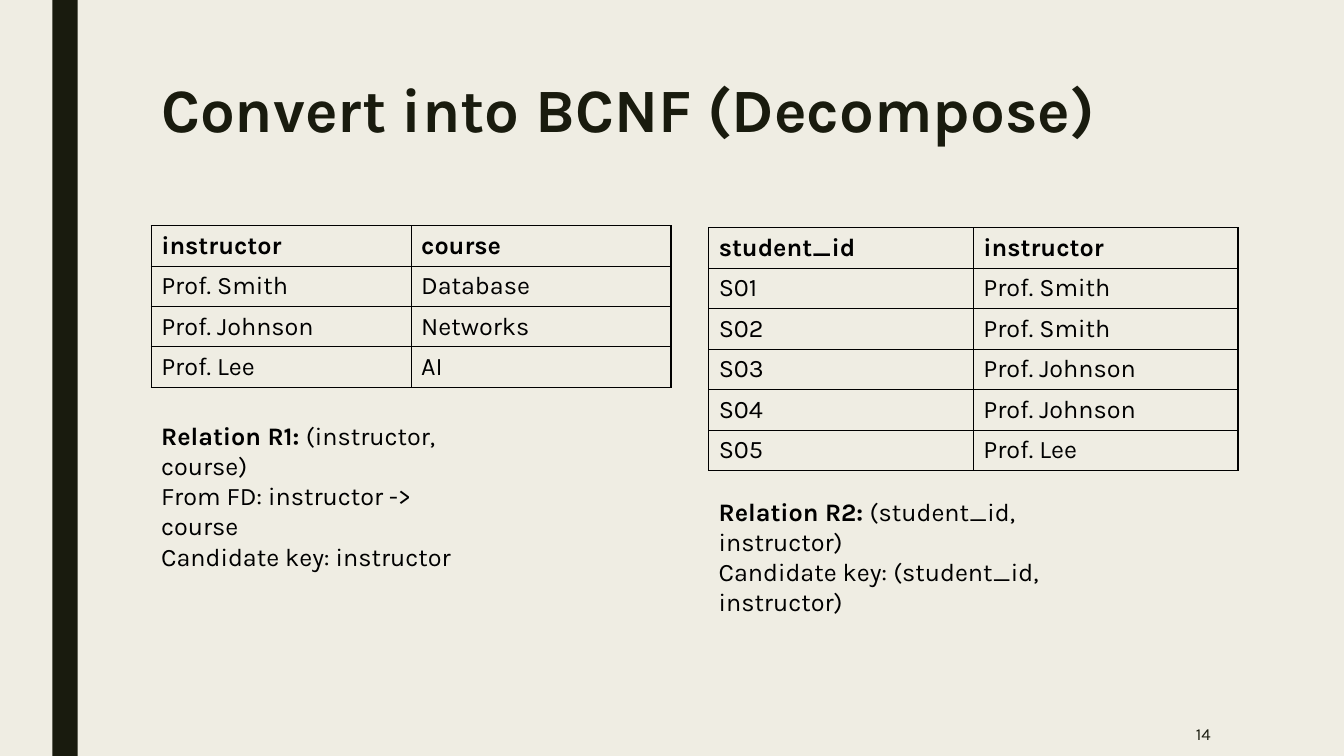
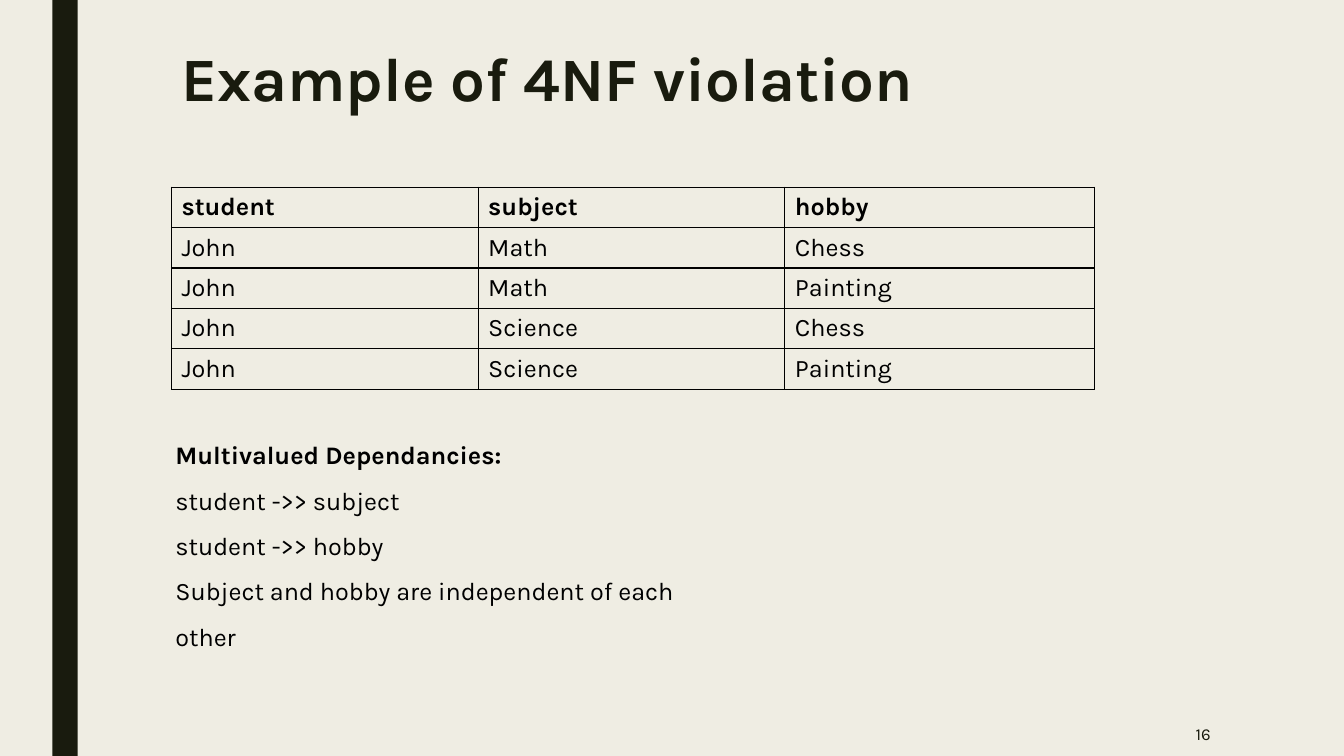
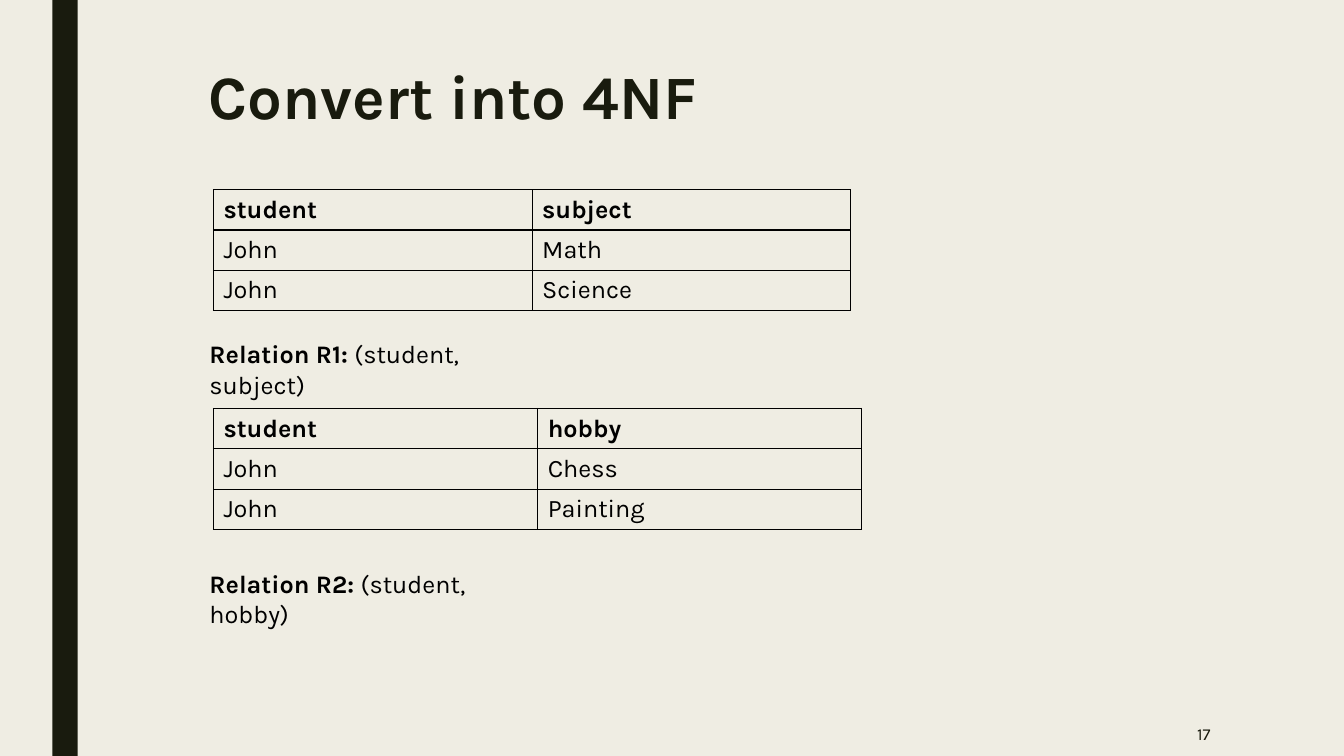
from pptx import Presentation
from pptx.dml.color import RGBColor
from pptx.enum.shapes import MSO_SHAPE as Shape
from pptx.enum.text import MSO_ANCHOR as Anchor, MSO_AUTO_SIZE as AutoSize, PP_ALIGN as Align
from pptx.oxml import parse_xml
from pptx.oxml.ns import nsdecls
from pptx.util import Cm, Pt

CREAM = RGBColor(0xEF, 0xED, 0xE3)
OLIVE = RGBColor(0x19, 0x1B, 0x0E)
BLACK = RGBColor(0, 0, 0)

TITLE = {"size": Pt(44), "bold": True}
BODY = {"size": Pt(18), "bold": False}
STRONG = {"size": Pt(18), "bold": True}
NUMBER = {"size": Pt(12), "bold": False}

BORDER = (
    '<a:{side} {ns} w="12700"><a:solidFill><a:srgbClr val="{color}"/></a:solidFill>'
    '<a:prstDash val="solid"/></a:{side}>'
)


class NormalFormDeck:
    font_name = "Karla"

    def __init__(self):
        self.deck = Presentation()
        self.deck.slide_width, self.deck.slide_height = Cm(33.87), Cm(19.05)
        fill = self.deck.slide_master.background.fill
        fill.solid()
        fill.fore_color.rgb = CREAM
        self.page = None

    def add_page(self, title, left, top, number):
        self.page = self.deck.slides.add_slide(self.deck.slide_layouts[6])
        self.add_band()
        para = self.add_box(left, top, 26.67, 4.11).paragraphs[0]
        para.line_spacing = 0.89
        self.add_text(para, title, TITLE, OLIVE)
        frame = self.add_box(26.31, 17.93, 4.45, 1.12)
        frame.vertical_anchor = Anchor.MIDDLE
        para = frame.paragraphs[0]
        para.alignment = Align.RIGHT
        self.add_text(para, str(number), NUMBER, OLIVE)

    def add_band(self):
        band = self.page.shapes.add_shape(
            Shape.RECTANGLE, Cm(1.32), 0, Cm(0.64), self.deck.slide_height
        )
        band.shadow.inherit = False
        band.fill.solid()
        band.fill.fore_color.rgb = OLIVE
        band.line.fill.background()

    def add_box(self, left, top, width, height):
        box = self.page.shapes.add_textbox(Cm(left), Cm(top), Cm(width), Cm(height))
        box.text_frame.word_wrap = True
        return box.text_frame

    def add_text(self, para, text, style, color=BLACK):
        for index, line in enumerate(text.split("\n")):
            if index:
                para.add_line_break()
            if line:
                span = para.add_run()
                span.text = line
                span.font.name = self.font_name
                span.font.color.rgb = color
                for name, value in style.items():
                    setattr(span.font, name, value)

    def add_note(self, left, top, width, height, lead, *texts, spacing=None):
        frame = self.add_box(left, top, width, height)
        frame.auto_size = AutoSize.SHAPE_TO_FIT_TEXT
        for index, text in enumerate(texts):
            para = frame.add_paragraph() if index else frame.paragraphs[0]
            para.line_spacing = spacing
            if not index:
                self.add_text(para, lead, STRONG)
            self.add_text(para, text, BODY)

    def add_grid(self, left, top, widths, row_height, rows):
        table = self.page.shapes.add_table(
            len(rows), len(widths), Cm(left), Cm(top),
            Cm(sum(widths)), Cm(row_height * len(rows)),
        ).table
        table.first_row = table.horz_banding = False
        for column, width in zip(table.columns, widths):
            column.width = Cm(width)
        for row_index, values in enumerate(rows):
            table.rows[row_index].height = Cm(row_height)
            for column_index, value in enumerate(values):
                cell = table.cell(row_index, column_index)
                cell.vertical_anchor = Anchor.MIDDLE
                style = BODY if row_index else STRONG
                self.add_text(cell.text_frame.paragraphs[0], value, style)
                self.outline(cell)
                cell.fill.background()

    def outline(self, cell):
        properties = cell._tc.get_or_add_tcPr()
        for side in ("lnL", "lnR", "lnT", "lnB"):
            border = BORDER.format(side=side, ns=nsdecls("a"), color=BLACK)
            properties.append(parse_xml(border))


def main():
    show = NormalFormDeck()

    show.add_page("Convert into BCNF (Decompose)", 3.81, 1.9, 14)
    show.add_grid(3.81, 5.69, [6.55] * 2, 1, [
        ("instructor", "course"),
        ("Prof. Smith", "Database"),
        ("Prof. Johnson", "Networks"),
        ("Prof. Lee", "AI"),
    ])
    show.add_note(
        3.81, 10.46, 8.71, 2.57, "Relation R1: ",
        "(instructor, course)\nFrom FD: instructor -> course\nCandidate key: instructor",
    )
    show.add_grid(17.86, 5.74, [6.67] * 2, 1.02, [
        ("student_id", "instructor"),
        ("S01", "Prof. Smith"),
        ("S02", "Prof. Smith"),
        ("S03", "Prof. Johnson"),
        ("S04", "Prof. Johnson"),
        ("S05", "Prof. Lee"),
    ])
    show.add_note(
        17.86, 12.37, 10.54, 1.8, "Relation R2: ",
        "(student_id, instructor)\nCandidate key: (student_id, instructor)",
    )

    show.add_page("Example of 4NF violation", 4.32, 1.12, 16)
    show.add_grid(4.32, 4.72, [7.73, 7.73, 7.8], 1, [
        ("student", "subject", "hobby"),
        ("John", "Math", "Chess"),
        ("John", "Math", "Painting"),
        ("John", "Science", "Chess"),
        ("John", "Science", "Painting"),
    ])
    show.add_note(
        4.17, 10.57, 13.49, 4.75, "Multivalued Dependancies:\n",
        "student ->> subject\nstudent ->> hobby",
        "Subject and hobby are independent of each other",
        spacing=1.5,
    )

    show.add_page("Convert into 4NF", 5, 1.57, 17)
    show.add_grid(5.38, 4.78, [8.03] * 2, 1, [
        ("student", "subject"),
        ("John", "Math"),
        ("John", "Science"),
    ])
    show.add_note(5.03, 8.41, 8.38, 1.02, "Relation R1: ", "(student, subject)")
    show.add_grid(5.38, 10.29, [8.17] * 2, 1.02, [
        ("student", "hobby"),
        ("John", "Chess"),
        ("John", "Painting"),
    ])
    show.add_note(5.03, 14.2, 8.2, 1.02, "Relation R2: ", "(student, hobby)")

    show.deck.save("out.pptx")


if __name__ == "__main__":
    main()
